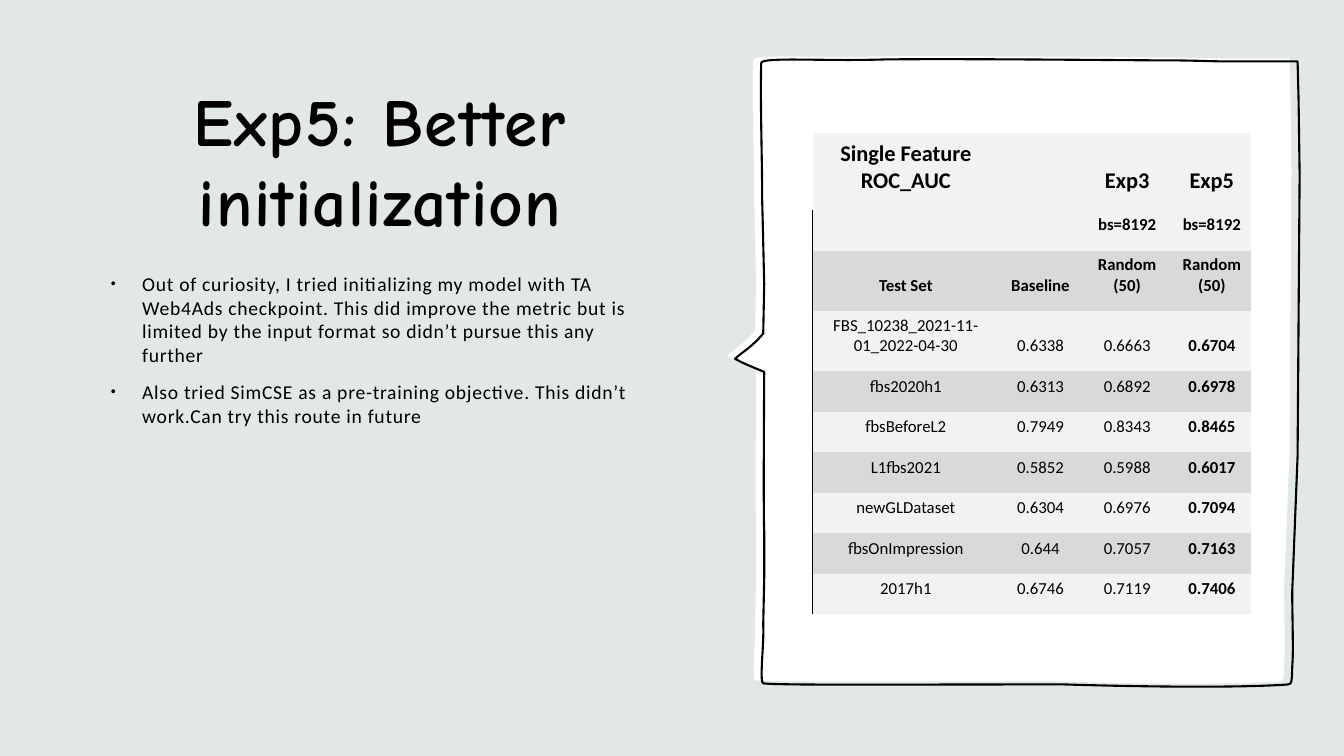
from lxml import etree
from pptx import Presentation
from pptx.dml.color import RGBColor
from pptx.enum import shapes, text
from pptx.oxml import ns
from pptx.util import Inches, Pt

# Content
TITLE = "Exp5: Better initialization"
NOTES = [
    "Out of curiosity, I tried initializing my model with TA Web4Ads checkpoint. This did improve "
    "the metric but is limited by the input format so didn’t pursue this any further",
    "Also tried SimCSE as a pre-training objective. This didn’t work.Can try this route in future",
]
RESULTS = [
    ("Single Feature ROC_AUC", "", "Exp3", "Exp5"),
    ("", "", "bs=8192", "bs=8192"),
    ("Test Set", "Baseline", "Random (50)", "Random (50)"),
    ("FBS_10238_2021-11-01_2022-04-30", "0.6338", "0.6663", "0.6704"),
    ("fbs2020h1", "0.6313", "0.6892", "0.6978"),
    ("fbsBeforeL2", "0.7949", "0.8343", "0.8465"),
    ("L1fbs2021", "0.5852", "0.5988", "0.6017"),
    ("newGLDataset", "0.6304", "0.6976", "0.7094"),
    ("fbsOnImpression", "0.644", "0.7057", "0.7163"),
    ("2017h1", "0.6746", "0.7119", "0.7406"),
]
HEADER_ROWS = 3

# Format
COLORS = {"backdrop": "E2E7E8", "ink": "000000", "paper": "FFFFFF", "light": "F2F2F2", "dark": "D9D9D9"}
TITLE_BOX = (1, 0.66, 5.55, 1.85)
NOTES_BOX = (1, 2.65, 5.55, 3.82)
TABLE_BOX = (8.06, 1.32, 4.35, 4.77)
COLUMN_WIDTHS = [1.79, 0.88, 0.84, 0.84]
TALL_ROWS = {0: 0.76, 2: 0.6, 3: 0.6}
CELL_FORMAT = {
    "margin_left": Inches(0.07), "margin_top": Inches(0.02), "margin_right": Inches(0.01),
    "margin_bottom": Inches(0.15), "vertical_anchor": text.MSO_ANCHOR.BOTTOM,
}
NO_GRID_STYLE = "{2D5ABB26-0587-4C30-8999-92F81FD0307C}"
OUTLINE_SHIFT = (0.08, 0.03)

# Speech bubble: pairs are corners, sixes are curves (two controls and an end)
BUBBLE = [
    (12.81, 1.7), (12.8, 0.97), (12.79, 0.58),
    (12.55, 0.58, 12.34, 0.58, 12.09, 0.58), (11.99, 0.58, 11.71, 0.57, 11.61, 0.57),
    (11.22, 0.57, 9.45, 0.55, 8.69, 0.56), (8.07, 0.58, 7.45, 0.53, 7.47, 0.6),
    (7.46, 1, 7.48, 1.55, 7.48, 1.96), (7.5, 2.79), (7.49, 3.28),
    (7.37, 3.42, 7.31, 3.44, 7.21, 3.53), (7.28, 3.57, 7.38, 3.61, 7.5, 3.66),
    (7.5, 3.71, 7.49, 5.06, 7.5, 5.24), (7.5, 5.7), (7.49, 6.17),
    (7.5, 6.35, 7.45, 6.74, 7.49, 6.75), (7.68, 6.77, 8.85, 6.76, 10.47, 6.76),
    (11.45, 6.79, 12.31, 6.79, 12.7, 6.76), (12.74, 6.76, 12.73, 6.7, 12.74, 6.53),
    (12.75, 6.36, 12.73, 5.86, 12.74, 5.76), (12.79, 4.49),
]


def color(name):
    return RGBColor.from_string(COLORS[name])


def paint(part, name):
    part.fill.solid()
    part.fill.fore_color.rgb = color(name)


def write(paragraph, words, face, size, bold=False, spacing=0):
    run = paragraph.add_run()
    run.text = words
    for key, value in {"name": face, "size": Pt(size), "bold": bold}.items():
        setattr(run.font, key, value)
    run.font.color.rgb = color("ink")
    if spacing:
        run.font._element.set("spc", str(int(spacing * 100)))


def place(holder, box, anchor):
    holder.left, holder.top, holder.width, holder.height = map(Inches, box)
    holder.text_frame.auto_size = text.MSO_AUTO_SIZE.NONE
    holder.text_frame.vertical_anchor = anchor


def add_bubble(slide, shift=(0, 0)):
    steps = [[(Inches(x + shift[0]), Inches(y + shift[1])) for x, y in zip(step[::2], step[1::2])]
             for step in BUBBLE]
    ends = [step[-1] for step in steps]
    builder = slide.shapes.build_freeform(*ends[0])
    builder.add_line_segments(ends[1:], close=True)
    bubble = builder.convert_to_shape()
    bubble.shadow.inherit = False

    # Bend the segments that have control points
    segments = list(bubble._element.iter(ns.qn("a:lnTo")))
    for segment, step in zip(segments, steps[1:]):
        if len(step) == 3:
            curve = etree.Element(ns.qn("a:cubicBezTo"))
            for x, y in step:
                etree.SubElement(curve, ns.qn("a:pt"), x=str(x - bubble.left), y=str(y - bubble.top))
            segment.getparent().replace(segment, curve)
    return bubble


def add_left_border(cell):
    properties = cell._tc.get_or_add_tcPr()
    border = etree.Element(ns.qn("a:lnL"), w=str(Pt(1)))
    fill = etree.SubElement(border, ns.qn("a:solidFill"))
    etree.SubElement(fill, ns.qn("a:srgbClr"), val=COLORS["ink"])
    properties.insert(0, border)


def add_results(slide):
    frame = slide.shapes.add_table(len(RESULTS), len(COLUMN_WIDTHS), *map(Inches, TABLE_BOX))
    results = frame.table
    results.first_row = results.horz_banding = False
    next(frame._element.iter(ns.qn("a:tableStyleId"))).text = NO_GRID_STYLE
    for column, width in zip(results.columns, COLUMN_WIDTHS):
        column.width = Inches(width)
    plain_height = (TABLE_BOX[3] - sum(TALL_ROWS.values())) / (len(RESULTS) - len(TALL_ROWS))

    for r, record in enumerate(RESULTS):
        results.rows[r].height = Inches(TALL_ROWS.get(r, plain_height))
        shade = "dark" if r and r % 2 == 0 else "light"
        for c, words in enumerate(record):
            cell = results.cell(r, c)
            paint(cell, shade)
            if r and c == 0:
                add_left_border(cell)
            if not words:
                continue
            for key, value in CELL_FORMAT.items():
                setattr(cell, key, value)
            paragraph = cell.text_frame.paragraphs[0]
            paragraph.alignment = text.PP_ALIGN.CENTER
            bold = r < HEADER_ROWS or c == len(record) - 1
            write(paragraph, words, "Calibri", 12 if r else 16, bold)


def main():
    deck = Presentation()
    deck.slide_width, deck.slide_height = Inches(13.33), Inches(7.5)
    slide = deck.slides.add_slide(deck.slide_layouts[1])

    # Backdrop, behind everything
    paint(slide.background, "backdrop")
    backdrop = slide.shapes.add_shape(
        shapes.MSO_SHAPE.RECTANGLE, 0, 0, deck.slide_width, deck.slide_height)
    backdrop.shadow.inherit = False
    paint(backdrop, "backdrop")
    backdrop.line.fill.background()
    slide.shapes._spTree.insert(2, backdrop._element)

    # Title
    title = slide.shapes.title
    place(title, TITLE_BOX, text.MSO_ANCHOR.MIDDLE)
    heading = title.text_frame.paragraphs[0]
    heading.alignment = text.PP_ALIGN.CENTER
    write(heading, TITLE, "Comic Neue", 48, bold=True, spacing=1)

    # Notes list
    notes = slide.placeholders[1]
    place(notes, NOTES_BOX, text.MSO_ANCHOR.TOP)
    for i, words in enumerate(NOTES):
        note = notes.text_frame.add_paragraph() if i else notes.text_frame.paragraphs[0]
        note.space_before = Pt(10)
        properties = note._p.get_or_add_pPr()
        properties.set("marL", str(Inches(0.31)))
        properties.set("indent", str(-Inches(0.31)))
        etree.SubElement(properties, ns.qn("a:buSzPct"), val="73000")
        etree.SubElement(properties, ns.qn("a:buChar"), char="•")
        write(note, words, "Calibri", 14, spacing=0.5)

    # Speech bubble: paper, then its shifted outline
    paper = add_bubble(slide)
    paint(paper, "paper")
    paper.line.fill.background()
    outline = add_bubble(slide, OUTLINE_SHIFT)
    outline.fill.background()
    outline.line.color.rgb = color("ink")
    outline.line.width = Pt(1.5)

    add_results(slide)
    deck.save("out.pptx")


if __name__ == "__main__":
    main()
